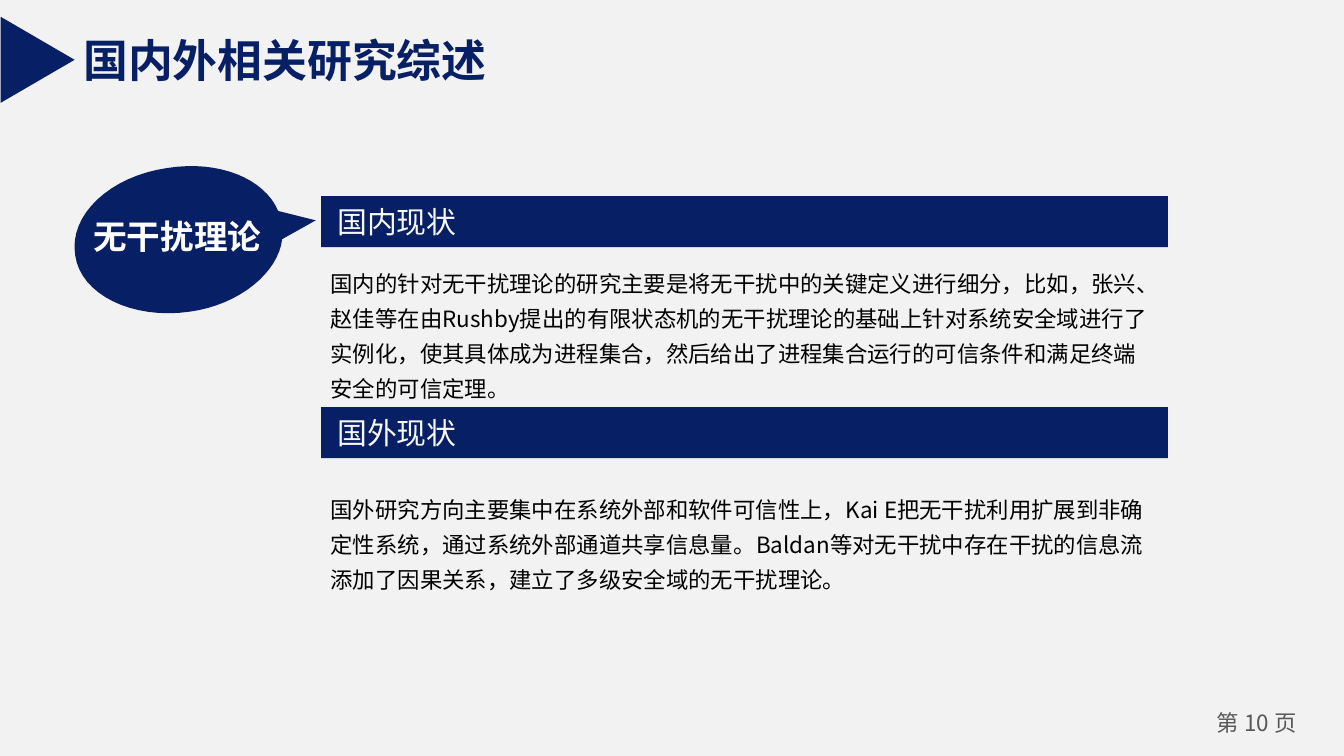
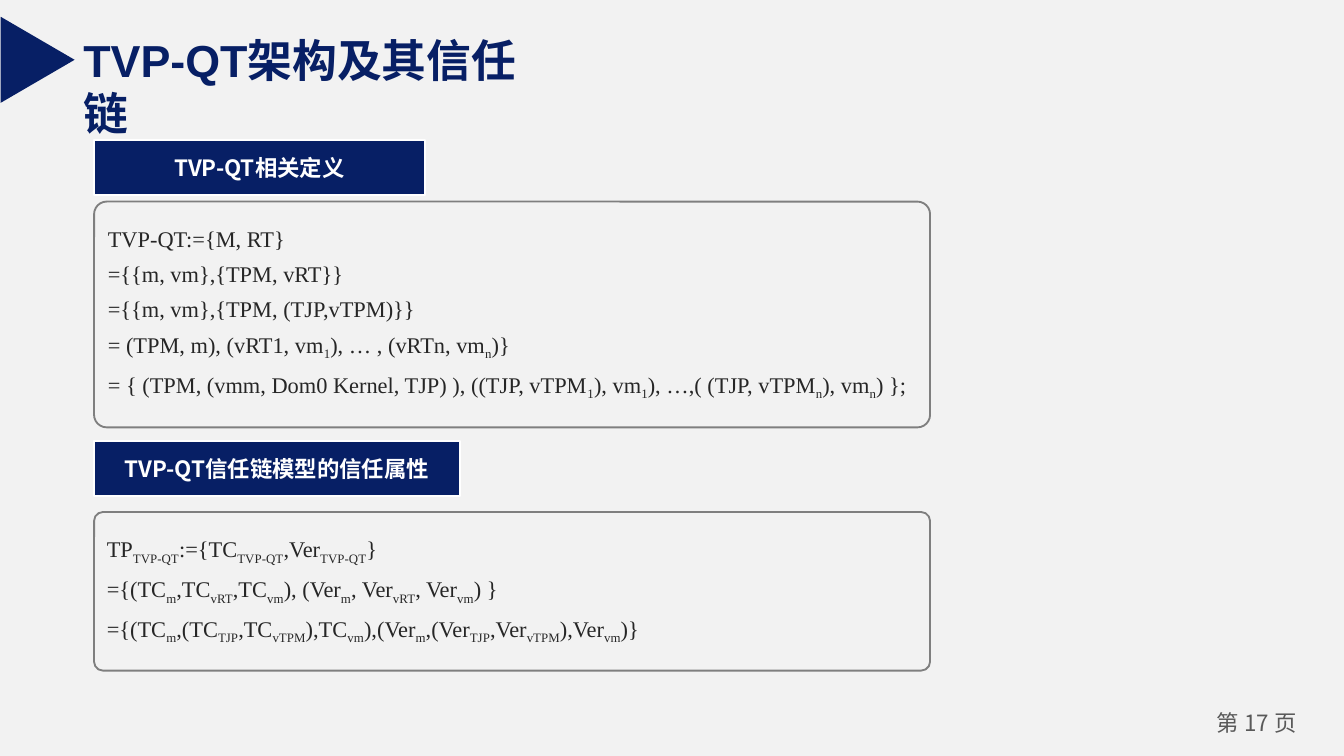
from dataclasses import dataclass

from lxml.etree import SubElement
from pptx import Presentation
from pptx.dml.color import RGBColor
from pptx.enum.shapes import MSO_SHAPE as Preset
from pptx.enum.text import MSO_ANCHOR as Anchor, MSO_AUTO_SIZE as AutoSize, PP_ALIGN as Align
from pptx.oxml.ns import qn
from pptx.util import Inches, Pt


@dataclass(frozen=True)
class Theme:
    navy: str = "071F65"
    paper: str = "F2F2F2"
    white: str = "FFFFFF"
    label: str = "F8F8F8"
    black: str = "000000"
    ink: str = "262626"
    rule: str = "7F7F7F"
    muted: str = "595959"
    sans: str = "Noto Sans CJK SC"
    serif: str = "Times New Roman"
    heading: str = "Arial"
    title_size: int = 24
    callout_size: int = 18
    label_size: int = 16
    body_size: int = 12
    leading: float = 1.3


THEME = Theme()
WIDTH = Inches(10)
HEIGHT = WIDTH * 9 // 16
COLUMN = WIDTH / 100
INSET = (0.7, 0.4, 0.7, 0.4)

REVIEW = {
    "title": "国内外相关研究综述",
    "title_width": 32.3,
    "number": 10,
    "callout": "无干扰理论",
    "sections": [
        ("国内现状", 14.6, 19.1, 11.2,
         "国内的针对无干扰理论的研究主要是将无干扰中的关键定义进行细分，比如，张兴、赵佳等在由Rushby提出的"
         "有限状态机的无干扰理论的基础上针对系统安全域进行了实例化，使其具体成为进程集合，然后给出了进程集合"
         "运行的可信条件和满足终端安全的可信定理。"),
        ("国外现状", 30.3, 35.9, 8.6,
         "国外研究方向主要集中在系统外部和软件可信性上，Kai E把无干扰利用扩展到非确定性系统，通过系统外部通道"
         "共享信息量。Baldan等对无干扰中存在干扰的信息流添加了因果关系，建立了多级安全域的无干扰理论。"),
    ],
}

TRUST_CHAIN = {
    "title": "TVP-QT架构及其信任链",
    "title_width": 37.5,
    "number": 17,
    "definitions": [
        ("TVP-QT相关定义", 10.4, 24.6, 15, 16.8, [
            "TVP-QT:={M, RT}",
            "={{m, vm},{TPM, vRT}}",
            "={{m, vm},{TPM, (TJP,vTPM)}}",
            "= (TPM, m), (vRT1, vm|1|), … , (vRTn, vm|n|)}",
            "= { (TPM, (vmm, Dom0 Kernel, TJP) ), ((TJP, vTPM|1|), vm|1|), …,( (TJP, vTPM|n|), vm|n|) };",
        ]),
        ("TVP-QT信任链模型的信任属性", 32.8, 27.2, 38.1, 11.8, [
            "TP|TVP-QT|:={TC|TVP-QT|,Ver|TVP-QT|}",
            "={(TC|m|,TC|vRT|,TC|vm|), (Ver|m|, Ver|vRT|, Ver|vm|) }",
            "={(TC|m|,(TC|TJP|,TC|vTPM|),TC|vm|),(Ver|m|,(Ver|TJP|,Ver|vTPM|),Ver|vm|)}",
        ]),
    ],
}

CALLOUT_TAIL = [(23.5, 16.4), (21, 17.8)]
CALLOUT_CURVES = [
    [(20.7, 20.3), (17.8, 22.7), (14.1, 23.2)],
    [(9.8, 23.8), (6, 21.9), (5.6, 19)],
    [(5.1, 16), (8.2, 13.1), (12.5, 12.5)],
    [(16.3, 11.9), (19.7, 13.3), (20.7, 15.7)],
]


def place(area):
    return [round(value * COLUMN) for value in area]


def write(shape, lines, *, size=THEME.body_size, color=THEME.black, font=THEME.sans, bold=False,
          align=Align.LEFT, anchor=Anchor.TOP, inset=INSET, leading=1.0, wrap=True):
    frame = shape.text_frame
    frame.auto_size = AutoSize.NONE
    frame.word_wrap = wrap
    frame.vertical_anchor = anchor
    frame.margin_left, frame.margin_top, frame.margin_right, frame.margin_bottom = place(inset)
    for index, line in enumerate(lines):
        para = frame.paragraphs[0] if index == 0 else frame.add_paragraph()
        para.alignment = align
        para.line_spacing = leading
        for part, text in enumerate(line.split("|")):
            span = para.add_run()
            span.text = text
            span.font.name = font
            span.font.size = Pt(size)
            span.font.bold = bold
            span.font.color.rgb = RGBColor.from_string(color)
            properties = span.font._element if hasattr(span.font, "_element") else span._r.get_or_add_rPr()
            SubElement(properties, qn("a:ea"), typeface=THEME.sans)
            if part % 2:
                properties.set("baseline", "-25000")


def add_text(page, area, text, **style):
    box = page.shapes.add_textbox(*place(area))
    write(box, [text], **style)


def paint(shape, fill=None, line=None):
    shape.shadow.inherit = False
    if fill:
        shape.fill.solid()
        shape.fill.fore_color.rgb = RGBColor.from_string(fill)
    else:
        shape.fill.background()
    if line:
        shape.line.color.rgb = RGBColor.from_string(line)
        shape.line.width = Pt(1)
    else:
        shape.line.fill.background()


def add_preset(page, preset, area, fill=None, line=None):
    shape = page.shapes.add_shape(preset, *place(area))
    paint(shape, fill, line)
    return shape


def curve_points(start, first, second, end, steps=16):
    for step in range(1, steps + 1):
        t = step / steps
        weights = ((1 - t) ** 3, 3 * t * (1 - t) ** 2, 3 * t * t * (1 - t), t ** 3)
        yield tuple(sum(weight * point[axis] for weight, point in zip(weights, (start, first, second, end)))
                    for axis in (0, 1))


def add_callout(page, text):
    points = list(CALLOUT_TAIL)
    for curve in CALLOUT_CURVES:
        points.extend(curve_points(points[-1], *curve))
    start, *rest = [place(point) for point in points]
    builder = page.shapes.build_freeform(*start)
    builder.add_line_segments(rest, close=True)
    paint(builder.convert_to_shape(), THEME.navy)
    add_text(page, (9.7, 15.6, 7, 4), text, size=THEME.callout_size, color=THEME.white, bold=True,
             align=Align.CENTER, anchor=Anchor.MIDDLE, wrap=False)


def add_page(deck, content):
    page = deck.slides.add_slide(deck.slide_layouts[5])
    title = page.shapes.title
    title.left, title.top, title.width, title.height = place((5.2, 1.9, content["title_width"], 5))
    write(title, [content["title"]], size=THEME.title_size, color=THEME.navy, font=THEME.heading,
          bold=True, inset=(1, 0.5, 1, 0.5))
    marker = add_preset(page, Preset.ISOSCELES_TRIANGLE, (-0.4, 1.7, 6.4, 5.5), THEME.navy)
    marker.rotation = 90
    add_text(page, (89, 52.4, 9, 3), f"第 {content['number']} 页", color=THEME.muted, align=Align.CENTER)
    return page


def build_review(deck):
    page = add_page(deck, REVIEW)
    for heading, bar_top, body_top, body_height, body in REVIEW["sections"]:
        bar = add_preset(page, Preset.RECTANGLE, (23.9, bar_top, 63, 3.8), THEME.navy)
        write(bar, [heading], size=THEME.label_size, color=THEME.label, anchor=Anchor.MIDDLE,
              inset=(1.2, 0, 1, 0))
        add_text(page, (23.9, body_top, 63, body_height), body, leading=THEME.leading)
    add_callout(page, REVIEW["callout"])


def build_trust_chain(deck):
    page = add_page(deck, TRUST_CHAIN)
    for heading, tag_top, tag_width, panel_top, panel_height, formulas in TRUST_CHAIN["definitions"]:
        panel = add_preset(page, Preset.ROUNDED_RECTANGLE, (7, panel_top, 62.2, panel_height), line=THEME.rule)
        panel.adjustments[0] = 0.056
        write(panel, formulas, color=THEME.ink, font=THEME.serif, anchor=Anchor.MIDDLE,
              inset=(0.75, 0, 0, 0.8), leading=THEME.leading)
        tag = add_preset(page, Preset.RECTANGLE, (7, tag_top, tag_width, 4.1), THEME.navy, THEME.white)
        write(tag, [heading], color=THEME.white, bold=True, align=Align.CENTER, anchor=Anchor.MIDDLE)


def main():
    deck = Presentation()
    deck.slide_width, deck.slide_height = WIDTH, HEIGHT
    backdrop = deck.slide_master.background.fill
    backdrop.solid()
    backdrop.fore_color.rgb = RGBColor.from_string(THEME.paper)
    build_review(deck)
    build_trust_chain(deck)
    deck.save("out.pptx")


if __name__ == "__main__":
    main()
